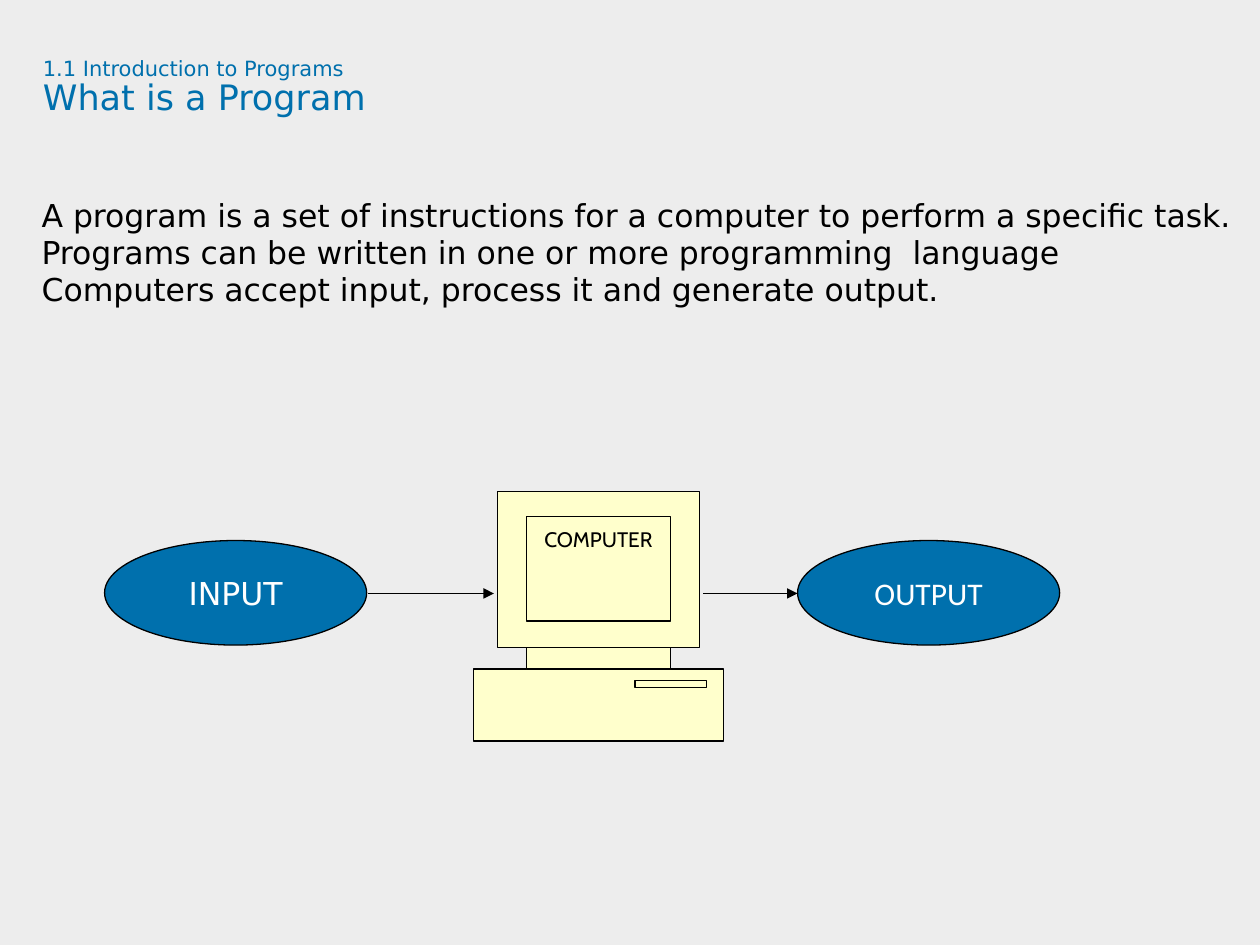
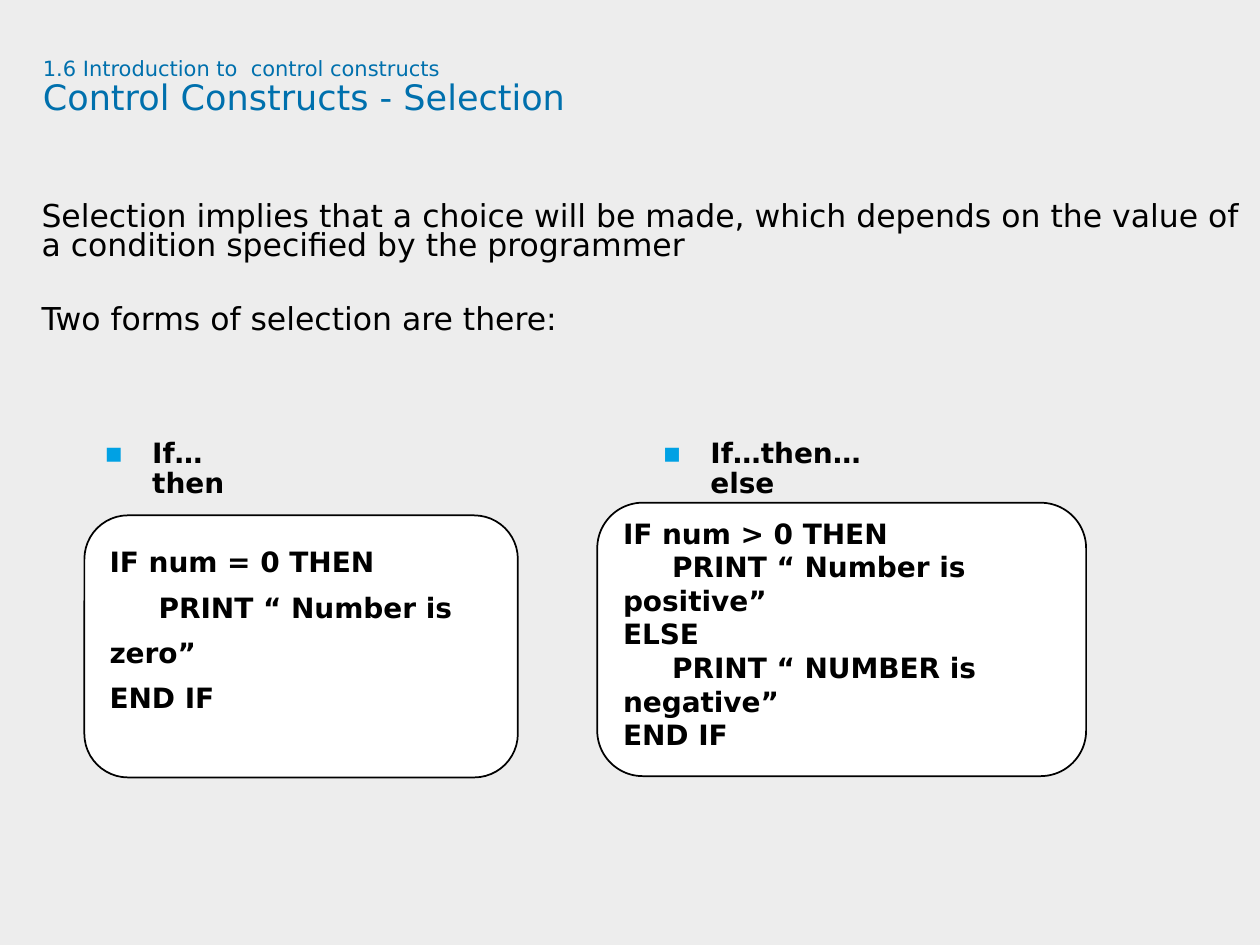
"""Build two lesson slides: what a program is, and selection constructs."""
from dataclasses import dataclass

from lxml import etree
from pptx import Presentation
from pptx.dml.color import RGBColor
from pptx.enum import shapes, text
from pptx.oxml import ns
from pptx.util import Inches, Pt

SANS = "DejaVu Sans"
BLUE = "0070AD"
BULLET_BLUE = "00A1E4"
BLACK = "000000"
WHITE = "FFFFFF"
BACKGROUND = "EDEDED"
COMPUTER_FILL = "FFFFCC"
CODE_INDENT = 0.39
BULLET_INDENT = 0.38


@dataclass(frozen=True)
class Box:
    left: float
    top: float
    width: float
    height: float

    def lengths(self):
        return [Inches(value) for value in (self.left, self.top, self.width, self.height)]


@dataclass(frozen=True)
class Style:
    size: float
    color: str = BLACK
    name: str = SANS
    bold: bool = False


@dataclass(frozen=True)
class Oval:
    label: str
    left: float
    font: str


@dataclass(frozen=True)
class BodyLine:
    words: str
    space_after: float = 4.5


@dataclass(frozen=True)
class Selection:
    heading: str
    heading_box: Box
    code_box: Box
    code: tuple[str, ...]
    line_spacing: float
    bottom_inset: float


TITLE_BOX = Box(0.34, 0.46, 9.09, 0.94)
BODY_BOX = Box(0.33, 1.63, 9.67, 5.08)
CODE_STYLE = Style(16, bold=True)

OVAL_WIDTH, OVAL_HEIGHT, OVAL_TOP = 2.08, 0.83, 4.29
ARROW_Y = 4.71
OVALS = (Oval("INPUT", 0.83, SANS), Oval("OUTPUT", 6.33, "Calibri"))
ARROWS = ((2.92, 3.92), (5.58, 6.33))

COMPUTER_OUTLINE = (
    (5.32, 5.31), (5.32, 5.14), (5.55, 5.14), (5.55, 3.9), (3.95, 3.9), (3.95, 5.14),
    (4.18, 5.14), (4.18, 5.31), (3.76, 5.31), (3.76, 5.88), (5.74, 5.88), (5.74, 5.31),
)
STAND = Box(4.18, 5.14, 1.14, 0.17)
SCREEN = Box(4.18, 4.1, 1.14, 0.83)
DRIVE_SLOT = Box(5.04, 5.4, 0.57, 0.06)

SELECTIONS = (
    Selection("If…then", Box(0.73, 3.44, 1.42, 0.34), Box(0.67, 4.09, 3.44, 2.08),
              ("IF num = 0 THEN", "\tPRINT “ Number is zero”", "END IF"), 1.35, 0.36),
    Selection("If…then…else", Box(5.16, 3.44, 2.08, 0.34), Box(4.74, 3.99, 3.88, 2.17),
              ("IF num > 0 THEN", "\tPRINT “ Number is positive”", "ELSE",
               "\tPRINT “ NUMBER is negative”", "END IF"), 1.0, 0.09),
)


def rgb(color: str) -> RGBColor:
    return RGBColor.from_string(color)


def set_font(font, style: Style) -> None:
    font.size = Pt(style.size)
    font.name = style.name
    font.bold = style.bold
    font.color.rgb = rgb(style.color)


def set_insets(frame, left: float, top: float, right: float, bottom: float) -> None:
    frame.margin_left, frame.margin_top = Inches(left), Inches(top)
    frame.margin_right, frame.margin_bottom = Inches(right), Inches(bottom)


def set_paint(shape, fill: str, line_width: float = 0.75) -> None:
    shape.shadow.inherit = False
    shape.fill.solid()
    shape.fill.fore_color.rgb = rgb(fill)
    shape.line.color.rgb = rgb(BLACK)
    shape.line.width = Pt(line_width)


def add_paragraphs(frame, count: int):
    return [frame.paragraphs[0]] + [frame.add_paragraph() for _ in range(count - 1)]


def add_titled_slide(presentation, section: str, title: str):
    slide = presentation.slides.add_slide(presentation.slide_layouts[5])
    slide.background.fill.solid()
    slide.background.fill.fore_color.rgb = rgb(BACKGROUND)
    placeholder = slide.shapes.title
    placeholder.left, placeholder.top, placeholder.width, placeholder.height = TITLE_BOX.lengths()
    frame = placeholder.text_frame
    frame.vertical_anchor = text.MSO_ANCHOR.TOP
    frame.auto_size = text.MSO_AUTO_SIZE.NONE
    set_insets(frame, 0, 0, 0, 0)
    paragraph = frame.paragraphs[0]
    paragraph.alignment = text.PP_ALIGN.LEFT
    paragraph.line_spacing = 0.9
    section_run = paragraph.add_run()
    section_run.text = section
    set_font(section_run.font, Style(12, BLUE))
    paragraph.add_line_break()
    title_run = paragraph.add_run()
    title_run.text = title
    set_font(title_run.font, Style(20, BLUE))
    return slide


def add_body(slide, lines: tuple[BodyLine, ...]) -> None:
    frame = slide.shapes.add_textbox(*BODY_BOX.lengths()).text_frame
    frame.word_wrap = True
    set_insets(frame, 0, 0, 0, 0)
    for paragraph, line in zip(add_paragraphs(frame, len(lines)), lines):
        paragraph.text = line.words
        paragraph.line_spacing = Pt(16.5)
        paragraph.space_after = Pt(line.space_after)
        set_font(paragraph.font, Style(18))


def add_oval(slide, oval: Oval) -> None:
    box = Box(oval.left, OVAL_TOP, OVAL_WIDTH, OVAL_HEIGHT)
    shape = slide.shapes.add_shape(shapes.MSO_SHAPE.OVAL, *box.lengths())
    set_paint(shape, BLUE)
    shape.text_frame.word_wrap = False
    shape.text_frame.vertical_anchor = text.MSO_ANCHOR.MIDDLE
    paragraph = shape.text_frame.paragraphs[0]
    paragraph.text = oval.label
    paragraph.alignment = text.PP_ALIGN.CENTER
    set_font(paragraph.font, Style(18, WHITE, oval.font))


def add_arrow(slide, start: float, end: float) -> None:
    y = Inches(ARROW_Y)
    connector = slide.shapes.add_connector(
        shapes.MSO_CONNECTOR.STRAIGHT, Inches(start), y, Inches(end), y)
    connector.line.color.rgb = rgb(BLACK)
    connector.line.width = Pt(0.75)
    etree.SubElement(connector.line._get_or_add_ln(), ns.qn("a:tailEnd"), type="triangle")
    etree.SubElement(connector._element.spPr, ns.qn("a:effectLst"))


def add_computer(slide) -> None:
    points = [(Inches(x), Inches(y)) for x, y in COMPUTER_OUTLINE]
    builder = slide.shapes.build_freeform(*points[0])
    builder.add_line_segments(points[1:], close=True)
    set_paint(builder.convert_to_shape(), COMPUTER_FILL)
    parts = [slide.shapes.add_shape(shapes.MSO_SHAPE.RECTANGLE, *box.lengths())
             for box in (STAND, DRIVE_SLOT, SCREEN)]
    for part in parts:
        set_paint(part, COMPUTER_FILL)
    frame = parts[-1].text_frame
    frame.vertical_anchor = text.MSO_ANCHOR.TOP
    set_insets(frame, 0.05, 0.08, 0.05, 0.05)
    paragraph = frame.paragraphs[0]
    paragraph.text = "COMPUTER"
    paragraph.alignment = text.PP_ALIGN.CENTER
    set_font(paragraph.font, Style(12, name="Cabin"))


def add_bullet(paragraph) -> None:
    properties = paragraph._p.get_or_add_pPr()
    properties.set("marL", str(Inches(BULLET_INDENT)))
    properties.set("indent", str(-Inches(BULLET_INDENT)))
    color = etree.SubElement(properties, ns.qn("a:buClr"))
    etree.SubElement(color, ns.qn("a:srgbClr"), val=BULLET_BLUE)
    etree.SubElement(properties, ns.qn("a:buFont"), typeface=SANS)
    etree.SubElement(properties, ns.qn("a:buChar"), char="▪")


def add_selection(slide, selection: Selection) -> None:
    heading = slide.shapes.add_textbox(*selection.heading_box.lengths()).text_frame
    heading.word_wrap = True
    paragraph = heading.paragraphs[0]
    paragraph.text = selection.heading
    paragraph.line_spacing = 0.9
    add_bullet(paragraph)
    set_font(paragraph.font, CODE_STYLE)

    panel = slide.shapes.add_shape(
        shapes.MSO_SHAPE.ROUNDED_RECTANGLE, *selection.code_box.lengths())
    set_paint(panel, WHITE, 1)
    frame = panel.text_frame
    frame.word_wrap = True
    frame.vertical_anchor = text.MSO_ANCHOR.MIDDLE
    set_insets(frame, 0.1, 0, 0.1, selection.bottom_inset)
    for paragraph, line in zip(add_paragraphs(frame, len(selection.code)), selection.code):
        paragraph.text = line.lstrip("\t")
        paragraph.alignment = text.PP_ALIGN.LEFT
        paragraph.line_spacing = selection.line_spacing
        if line.startswith("\t"):
            paragraph._p.get_or_add_pPr().set("indent", str(Inches(CODE_INDENT)))
        set_font(paragraph.font, CODE_STYLE)


def build_program_slide(presentation) -> None:
    slide = add_titled_slide(presentation, "1.1 Introduction to Programs", "What is a Program")
    add_body(slide, (
        BodyLine("A program is a set of instructions for a computer to perform a specific task."),
        BodyLine("Programs can be written in one or more programming  language"),
        BodyLine("Computers accept input, process it and generate output."),
    ))
    for oval in OVALS:
        add_oval(slide, oval)
    for start, end in ARROWS:
        add_arrow(slide, start, end)
    add_computer(slide)


def build_selection_slide(presentation) -> None:
    slide = add_titled_slide(presentation, "1.6 Introduction to  control constructs",
                             "Control Constructs - Selection")
    add_body(slide, (
        BodyLine("Selection implies that a choice will be made, which depends on the value of "
                 "a condition specified by the programmer", space_after=25.5),
        BodyLine("Two forms of selection are there:"),
    ))
    for selection in SELECTIONS:
        add_selection(slide, selection)


def main() -> None:
    presentation = Presentation()
    presentation.slide_width, presentation.slide_height = Inches(10), Inches(7.5)
    build_program_slide(presentation)
    build_selection_slide(presentation)
    presentation.save("out.pptx")


if __name__ == "__main__":
    main()
